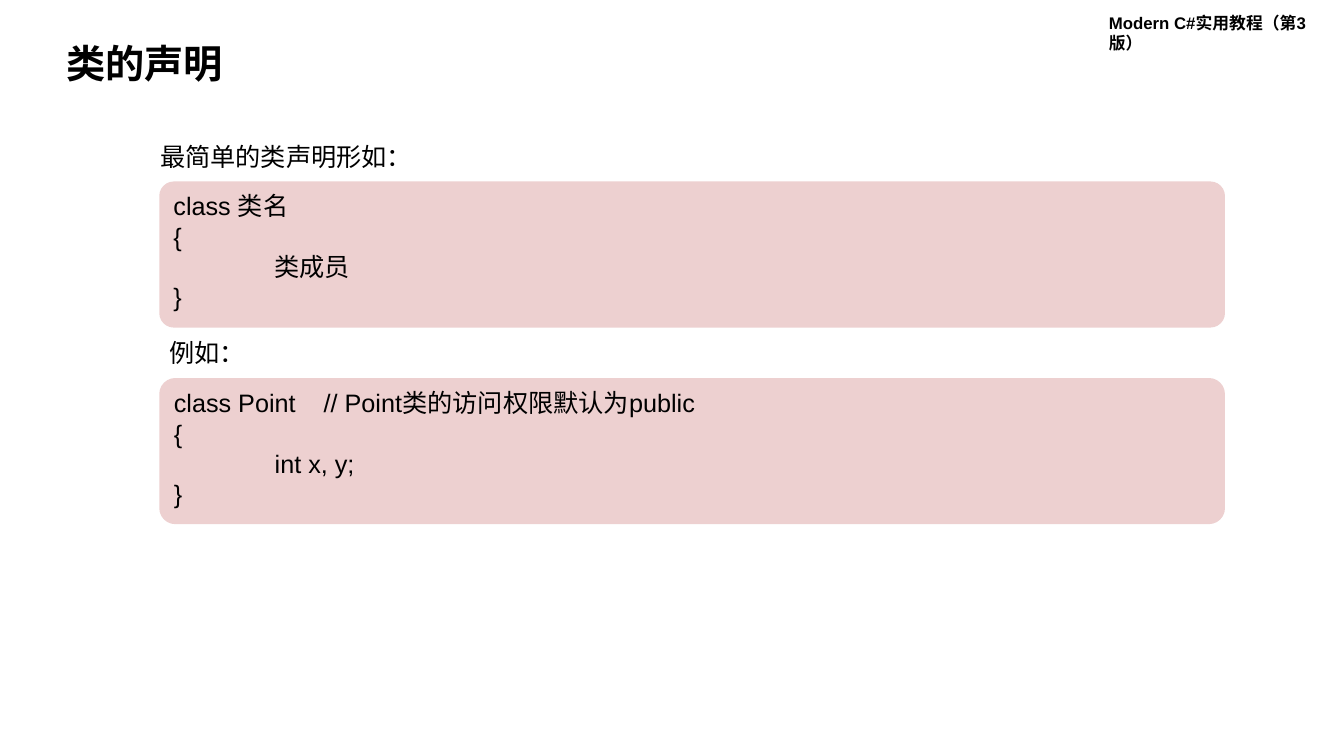
from lxml import etree
from pptx import Presentation
from pptx import util as u
from pptx.dml import color
from pptx.enum import shapes, text
from pptx.oxml import ns

FONT = "Arial"
BLACK = "000000"
PANEL_PINK = "EDD0D0"
CODE_INDENT = u.Inches(1)


def rgb(value):
    return color.RGBColor.from_string(value)


def place(box):
    return [u.Inches(length) for length in box]


def add_tab_stop(paragraph):
    stops = etree.SubElement(paragraph._p.get_or_add_pPr(), ns.qn("a:tabLst"))
    etree.SubElement(stops, ns.qn("a:tab"), pos=str(CODE_INDENT), algn="l")


def write_lines(frame, lines, size, bold=False):
    for index, line in enumerate(lines):
        paragraph = frame.paragraphs[0] if index == 0 else frame.add_paragraph()
        paragraph.alignment = text.PP_ALIGN.LEFT
        if line.startswith("\t"):
            add_tab_stop(paragraph)
        run = paragraph.add_run()
        run.text = line
        run.font.name = FONT
        run.font.size = u.Pt(size)
        run.font.bold = bold
        run.font.color.rgb = rgb(BLACK)


def add_heading(slide, box, heading):
    title = slide.shapes.title
    title.left, title.top, title.width, title.height = place(box)
    frame = title.text_frame
    frame.auto_size = text.MSO_AUTO_SIZE.NONE
    frame.vertical_anchor = text.MSO_ANCHOR.MIDDLE
    write_lines(frame, [heading], 28, bold=True)
    frame.paragraphs[0].line_spacing = 0.9


def add_label(slide, box, label, size=18, bold=False, wrap=False):
    frame = slide.shapes.add_textbox(*place(box)).text_frame
    frame.word_wrap = wrap
    frame.auto_size = text.MSO_AUTO_SIZE.SHAPE_TO_FIT_TEXT
    write_lines(frame, [label], size, bold)


def add_code_panel(slide, box, code, rounding):
    panel = slide.shapes.add_shape(shapes.MSO_SHAPE.ROUNDED_RECTANGLE, *place(box))
    panel.adjustments[0] = rounding
    panel.shadow.inherit = False
    panel.fill.solid()
    panel.fill.fore_color.rgb = rgb(PANEL_PINK)
    panel.line.fill.background()
    frame = panel.text_frame
    frame.word_wrap = True
    frame.vertical_anchor = text.MSO_ANCHOR.TOP
    write_lines(frame, code, 18)


def add_example(slide, box, label, label_box, code, rounding):
    left, top, width, height = box
    shift, label_width = label_box
    add_label(slide, (left + shift, top, label_width, 0.4), label)
    add_code_panel(slide, (left, top + 0.45, width, height - 0.45), code, rounding)


def build_class_slide(prs):
    slide = prs.slides.add_slide(prs.slide_layouts[5])
    add_label(slide, (10.9, 0.08, 2.44, 0.3), "Modern C#实用教程（第3版）",
              size=12, bold=True, wrap=True)
    add_heading(slide, (0.56, 0.39, 4.59, 0.52), "类的声明")
    examples = [
        ("最简单的类声明形如：", (-0.09, 2.73),
         ["class 类名", "{", "\t类成员", "}"], 0.1),
        ("例如：", (0, 0.96),
         ["class Point    // Point类的访问权限默认为public", "{", "\tint x, y;", "}"], 0.11),
    ]
    for row, (label, label_box, code, rounding) in enumerate(examples):
        add_example(slide, (1.58, 1.35 + row * 1.95, 10.57, 1.9),
                    label, label_box, code, rounding)


def main():
    prs = Presentation()
    prs.slide_width = u.Inches(13.33)
    prs.slide_height = u.Inches(7.5)
    build_class_slide(prs)
    prs.save("out.pptx")


if __name__ == "__main__":
    main()
